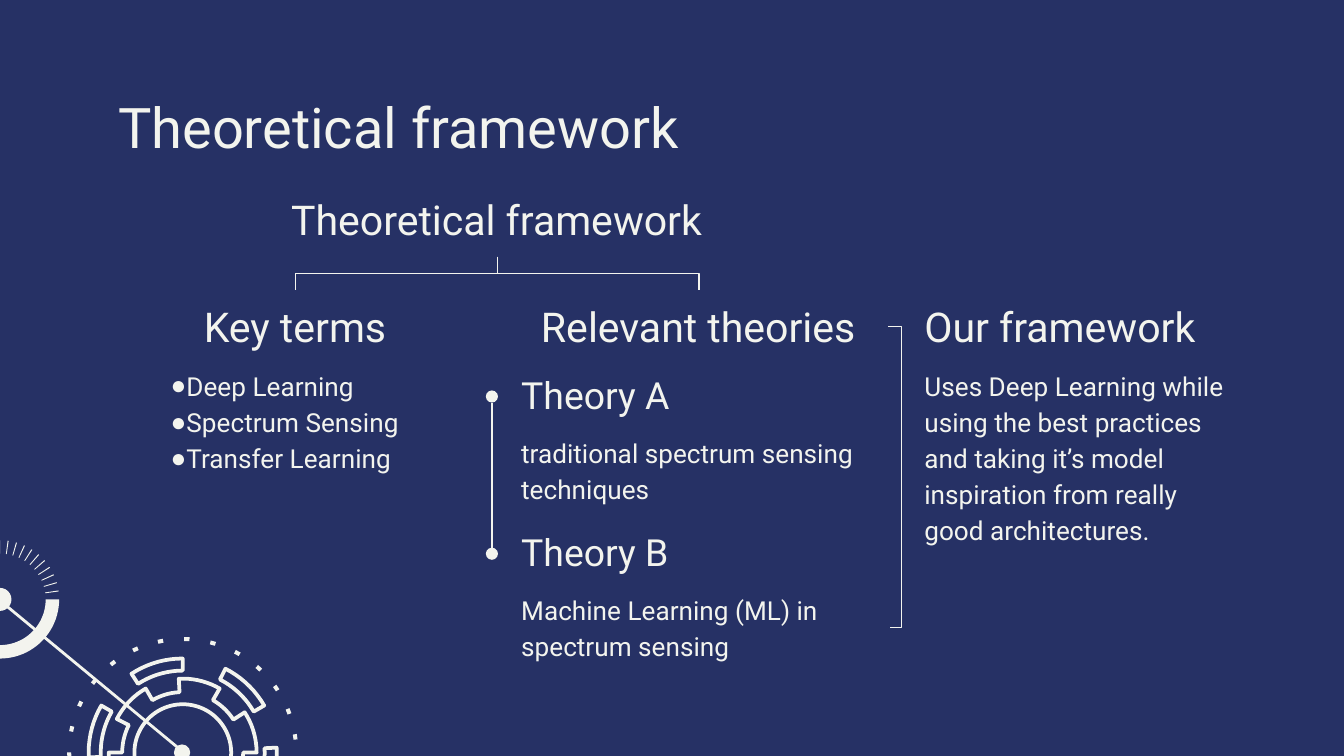
"""Build the theoretical framework slide."""
import dataclasses
import math

import pptx
import pptx.dml.color
import pptx.enum.shapes
import pptx.enum.text
import pptx.oxml.ns
import pptx.util
from lxml import etree

Inches = pptx.util.Inches
ALIGN = pptx.enum.text.PP_ALIGN
ANCHOR = pptx.enum.text.MSO_ANCHOR
CONNECTOR = pptx.enum.shapes.MSO_CONNECTOR
OVAL = pptx.enum.shapes.MSO_SHAPE.OVAL
qn = pptx.oxml.ns.qn


@dataclasses.dataclass(frozen=True)
class Theme:
    """Hold the colours, font, type sizes and line widths."""
    background: str = "263165"
    ink: str = "F3F4EE"
    font: str = "Roboto"
    title: int = 30
    heading: int = 22
    subheading: int = 20
    body: int = 14
    thin: float = 0.75
    medium: float = 1.5
    thick: float = 2


def colour(value):
    """Turn a hex string into a colour."""
    return pptx.dml.color.RGBColor.from_string(value)


def write_text(box, text, theme, size, align=ALIGN.LEFT, anchor=ANCHOR.TOP, spacing=1.0, bullet=None):
    """Fill a box with one formatted paragraph per line of text."""
    frame = box.text_frame
    frame.word_wrap = True
    frame.auto_size = pptx.enum.text.MSO_AUTO_SIZE.NONE
    frame.vertical_anchor = anchor
    frame.margin_left = frame.margin_right = Inches(0.1)
    frame.margin_top = frame.margin_bottom = Inches(0.1)
    for index, line in enumerate(text.split("\n")):
        para = frame.add_paragraph() if index else frame.paragraphs[0]
        para.alignment = align
        para.line_spacing = spacing
        para.space_before = para.space_after = pptx.util.Pt(0)
        span = para.add_run()
        span.text = line
        span.font.name = theme.font
        span.font.size = pptx.util.Pt(size)
        span.font.color.rgb = colour(theme.ink)
        if bullet:
            properties = para._p.get_or_add_pPr()
            properties.set("marL", str(Inches(0.1)))
            properties.set("indent", str(Inches(-0.15)))
            tint = etree.SubElement(properties, qn("a:buClr"))
            etree.SubElement(tint, qn("a:srgbClr")).set("val", theme.ink)
            etree.SubElement(properties, qn("a:buChar")).set("char", bullet)


def arc(center, radius, start, sweep):
    """Return points along an arc, with angles in degrees clockwise from the right."""
    steps = max(1, math.ceil(abs(sweep) / 4))
    angles = [math.radians(start + sweep * step / steps) for step in range(steps + 1)]
    return [(center[0] + radius * math.cos(a), center[1] + radius * math.sin(a)) for a in angles]


def sector(center, inner, outer, start, sweep):
    """Return the outline of a ring sector."""
    return arc(center, outer, start, sweep) + arc(center, inner, start + sweep, -sweep)


class SlideBuilder:
    """Hold the theme and the current page, and draw each kind of element."""

    def __init__(self, theme, page):
        """Keep the theme and page and paint the background."""
        self.theme = theme
        self.page = page
        page.background.fill.solid()
        page.background.fill.fore_color.rgb = colour(theme.background)

    def placeholder(self, index, text, bounds, size, **style):
        """Move and fill a template placeholder."""
        box = self.page.placeholders[index]
        box.left, box.top, box.width, box.height = map(Inches, bounds)
        write_text(box, text, self.theme, size, **style)

    def text(self, text, bounds, size, **style):
        """Add a text box."""
        box = self.page.shapes.add_textbox(*map(Inches, bounds))
        write_text(box, text, self.theme, size, **style)

    def paint(self, shape, filled, width):
        """Apply the ink to a shape's fill, its line or both."""
        shape.shadow.inherit = False
        if filled:
            shape.fill.solid()
            shape.fill.fore_color.rgb = colour(self.theme.ink)
        else:
            shape.fill.background()
        if width:
            shape.line.color.rgb = colour(self.theme.ink)
            shape.line.width = pptx.util.Pt(width)
        else:
            shape.line.fill.background()

    def circle(self, center, radius, filled=True, width=None):
        """Add a circle around a center."""
        x, y = center
        bounds = (x - radius, y - radius, 2 * radius, 2 * radius)
        self.paint(self.page.shapes.add_shape(OVAL, *map(Inches, bounds)), filled, width)

    def outline(self, contours, filled=True, width=None):
        """Add one freeform made of closed contours."""
        scaled = [[(Inches(x), Inches(y)) for x, y in contour] for contour in contours]
        builder = self.page.shapes.build_freeform(*scaled[0][0])
        for index, contour in enumerate(scaled):
            if index:
                builder.move_to(*contour[0])
            builder.add_line_segments(contour[1:], close=True)
        self.paint(builder.convert_to_shape(), filled, width)

    def connector(self, begin, end, width, kind=CONNECTOR.STRAIGHT):
        """Add a connector without a shadow."""
        line = self.page.shapes.add_connector(kind, *map(Inches, begin + end))
        line.line.color.rgb = colour(self.theme.ink)
        line.line.width = pptx.util.Pt(width)
        etree.SubElement(line._element.spPr, qn("a:effectLst"))
        return line

    def branch(self, begin, end):
        """Add an elbow that leaves downwards and ends downwards."""
        x, y = (begin[0] + end[0]) / 2, (begin[1] + end[1]) / 2
        half_span, half_drop = abs(begin[0] - end[0]) / 2, (end[1] - begin[1]) / 2
        side = 1 if end[0] < begin[0] else -1
        line = self.connector((x - side * half_drop, y - half_span),
                              (x + side * half_drop, y + half_span),
                              self.theme.thin, CONNECTOR.ELBOW)
        line._element.spPr.find(qn("a:xfrm")).set("rot", str((180 - 90 * side) * 60000))

    def bracket(self, begin, end, reach):
        """Add an elbow that bulges to the right by a multiple of its width."""
        line = self.connector(begin, end, self.theme.thin, CONNECTOR.ELBOW)
        guide = etree.SubElement(line._element.spPr.find(".//" + qn("a:avLst")), qn("a:gd"))
        guide.set("name", "adj1")
        guide.set("fmla", f"val {reach * 100000}")


def draw_framework(builder):
    """Draw the headings, lists, theories and their connectors."""
    theme = builder.theme
    left, middle, right, column = 0.78, 3.78, 6.78, 2.83
    builder.placeholder(0, "Theoretical framework", (left, 0.59, 8.44, 0.71), theme.title)
    builder.placeholder(1, "Deep Learning\nSpectrum Sensing\nTransfer Learning",
                        (1.17, 2.62, 2.06, 1.02), theme.body, spacing=1.15, bullet="●")
    for text, x, y, width, align in (
            ("Theoretical framework", left, 1.36, 5.83, ALIGN.CENTER),
            ("Key terms", left, 2.16, column, ALIGN.CENTER),
            ("Relevant theories", middle, 2.16, column, ALIGN.CENTER),
            ("Our framework", right, 2.16, 2.44, ALIGN.LEFT)):
        builder.text(text, (x, y, width, 0.55), theme.heading, align=align, anchor=ANCHOR.BOTTOM)
    builder.text("Uses Deep Learning while using the best practices and taking it’s model "
                 "inspiration from really good architectures.",
                 (right, 2.62, 2.44, 1.75), theme.body, spacing=1.15)
    for name, detail, top in (("Theory A", "traditional spectrum sensing techniques", 2.7),
                              ("Theory B", "Machine Learning (ML) in spectrum sensing", 3.87)):
        builder.text(detail, (middle, top + 0.42, column, 0.75), theme.body, spacing=1.15)
        builder.text(name, (middle, top, column, 0.5), theme.subheading, anchor=ANCHOR.BOTTOM)
        builder.circle((3.66, top + 0.25), 0.045)
    for x in (2.2, 5.2):
        builder.branch((3.7, 1.91), (x, 2.16))
    builder.connector((3.66, 3), (3.66, 4.08), theme.thin)
    builder.bracket((6.61, 2.43), (6.62, 4.67), 10)


def draw_gears(builder):
    """Draw the gear and the dial in the lower left corner."""
    theme = builder.theme
    gear, dial = (1.36, 5.6), (0, 4.46)
    builder.circle(gear, 0.36, filled=False, width=theme.thick)
    teeth = []
    for start in range(27, 387, 60):
        teeth += arc(gear, 0.55, start, 33) + arc(gear, 0.45, start + 33, 27)
    builder.outline([teeth], filled=False, width=theme.thick)
    for start in range(177, 417, 60):
        builder.outline([sector(gear, 0.61, 0.7, start, 33)], filled=False, width=theme.thick)
    builder.outline([sector(gear, 0.83, 0.86, 360 * dot / 27 - 89.3, 2.7) for dot in range(27)])
    builder.outline([sector(dial, 0.34, 0.44, 0, 270)])
    for tick in range(1, 11):
        builder.outline([sector(dial, 0.34, 0.44, -8.2 * tick - 0.5, 1)])
    builder.circle(dial, 0.075, width=theme.medium)
    builder.circle((1.355, 5.6), 0.05, width=theme.medium)
    builder.connector((1.32, 5.56), (0.05, 4.51), theme.medium)


def main():
    """Create and save the deck."""
    deck = pptx.Presentation()
    deck.slide_width = Inches(10)
    deck.slide_height = deck.slide_width * 9 // 16
    builder = SlideBuilder(Theme(), deck.slides.add_slide(deck.slide_layouts[1]))
    draw_framework(builder)
    draw_gears(builder)
    deck.save("out.pptx")


if __name__ == "__main__":
    main()
